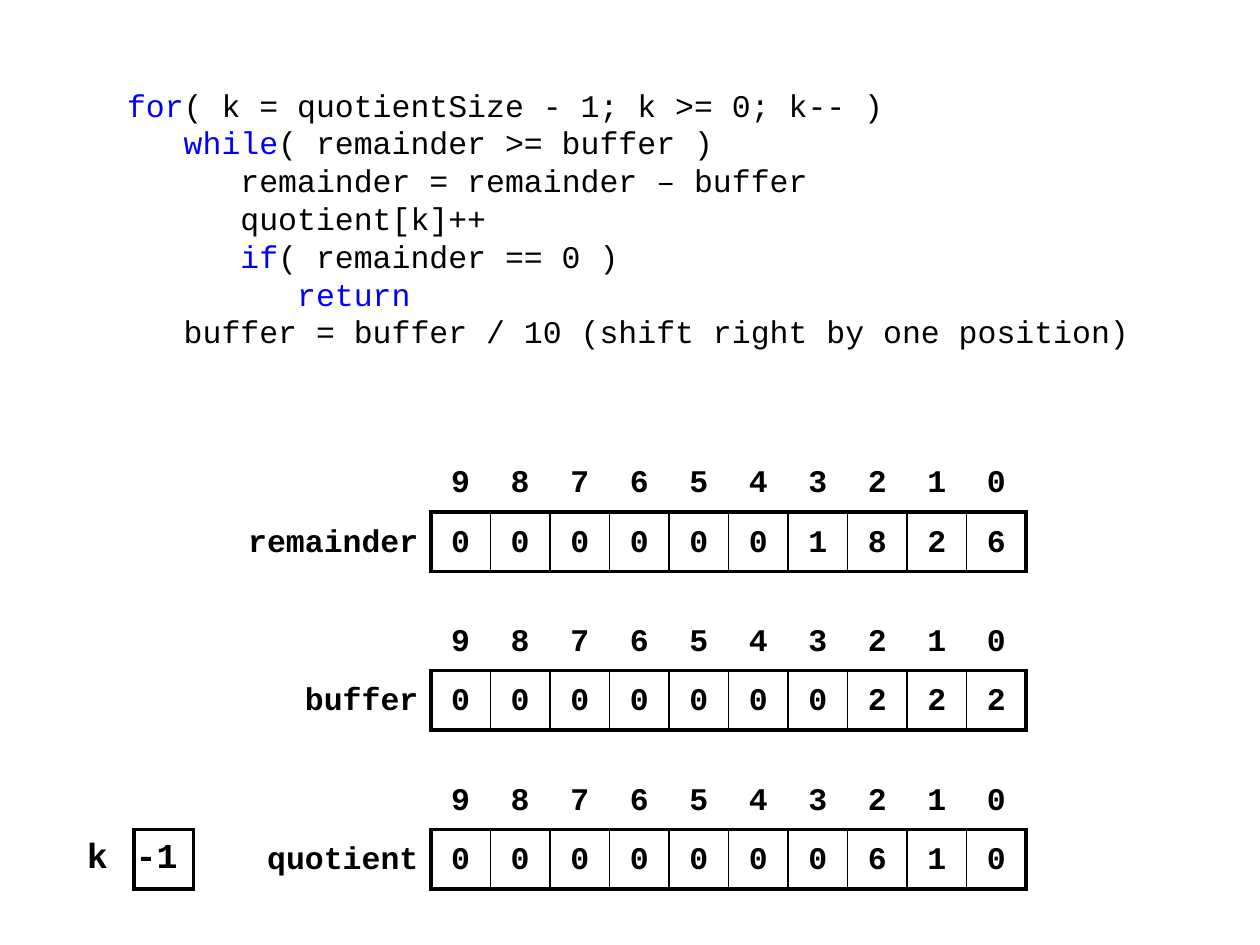
from lxml import etree
from pptx import Presentation, util as u
from pptx.dml.color import RGBColor
from pptx.enum import text
from pptx.oxml.ns import qn

BLACK = RGBColor(0, 0, 0)
BLUE = RGBColor(0, 0, 255)
FONT = "Courier New"
PLAIN = "{2D5ABB26-0587-4C30-8999-92F81FD0307C}"  # no style, no grid
THICK, THIN = 2.25, 1
CENTER, RIGHT = text.PP_ALIGN.CENTER, text.PP_ALIGN.RIGHT

# Content: indent level, keyword, rest of the line
CODE = [
    (0, "for", "( k = quotientSize - 1; k >= 0; k-- )"),
    (1, "while", "( remainder >= buffer )"),
    (2, "", "remainder = remainder – buffer"),
    (2, "", "quotient[k]++"),
    (2, "if", "( remainder == 0 )"),
    (3, "return", ""),
    (1, "", "buffer = buffer / 10 (shift right by one position)"),
]
ARRAYS = [("remainder", "0000001826"),
          ("buffer", "0000000222"),
          ("quotient", "0000000610")]
INDEX = "9876543210"

# Grid, in inches
UNIT = 0.4725
LABEL = 1.57
LEFT, TOP, STEP = 1.85, 3.59, 1.26
STOP = 0.45  # three characters of code

deck = Presentation()
deck.slide_width, deck.slide_height = u.Inches(10), u.Inches(7.5)
slide = deck.slides.add_slide(deck.slide_layouts[6])


def write(para, words, size, color=BLACK, bold=False):
    run = para.add_run()
    run.text = words
    font = run.font
    font.name, font.size, font.bold = FONT, u.Pt(size), bold
    font.color.rgb = color


def border(cell, **sides):
    props = cell._tc.get_or_add_tcPr()
    for side in "LRTB":
        if side in sides:
            line = etree.SubElement(props, qn("a:ln" + side),
                                    w=str(u.Pt(sides[side])))
            fill = etree.SubElement(line, qn("a:solidFill"))
            etree.SubElement(fill, qn("a:srgbClr"), val=str(BLACK))


def grid(left, top, widths, rows):
    frame = slide.shapes.add_table(
        rows, len(widths), u.Inches(left), u.Inches(top),
        u.Inches(sum(widths)), u.Inches(UNIT * rows))
    table = frame.table
    table.first_row = table.horz_banding = False
    table._tbl.tblPr.find(qn("a:tableStyleId")).text = PLAIN
    for col, width in zip(table.columns, widths):
        col.width = u.Inches(width)
    for row in table.rows:
        row.height = u.Inches(UNIT)
    return table


def put(cell, words, size=18, align=CENTER, gap=1.25, pad=(0.1, 0.1), **sides):
    border(cell, **sides)
    cell.fill.background()
    cell.margin_left, cell.margin_right = map(u.Inches, pad)
    cell.margin_top = cell.margin_bottom = u.Inches(0.04)
    para = cell.text_frame.paragraphs[0]
    para.alignment, para.line_spacing = align, gap
    if words:
        write(para, words, size, bold=True)


# Code
box = slide.shapes.add_textbox(*map(u.Inches, (0.91, 0.6, 8.19, 2.36)))
frame = box.text_frame
frame.word_wrap = True
frame.margin_top = u.Inches(0.08)
for i, (level, key, rest) in enumerate(CODE):
    para = frame.add_paragraph() if i else frame.paragraphs[0]
    para.line_spacing = u.Pt(21.6)
    para._p.get_or_add_pPr().set("marL", str(u.Inches(level * STOP)))
    if key:
        write(para, key, 18, BLUE)
    if rest:
        write(para, rest, 18)

# Arrays: index row over value row
last = len(INDEX)
for i, (name, digits) in enumerate(ARRAYS):
    table = grid(LEFT, TOP + i * STEP, [LABEL] + [UNIT] * last, 2)
    put(table.cell(0, 0), "")
    put(table.cell(1, 0), name, align=RIGHT, R=THICK)
    for c, (index, digit) in enumerate(zip(INDEX, digits), 1):
        put(table.cell(0, c), index, B=THICK)
        put(table.cell(1, c), digit, T=THICK, B=THICK,
            L=THICK if c == 1 else THIN, R=THICK if c == last else THIN)

# Counter, level with the last value row
table = grid(0.59, TOP + 2 * STEP + UNIT, [UNIT] * 2, 1)
put(table.cell(0, 0), "k", 20, gap=1, pad=(0.1, 0.21), R=THICK)
put(table.cell(0, 1), "-1", 20, gap=1, pad=(0, 0.11),
    L=THICK, R=THICK, T=THICK, B=THICK)
for cell in table.iter_cells():
    cell.vertical_anchor = text.MSO_ANCHOR.MIDDLE

deck.save("out.pptx")
